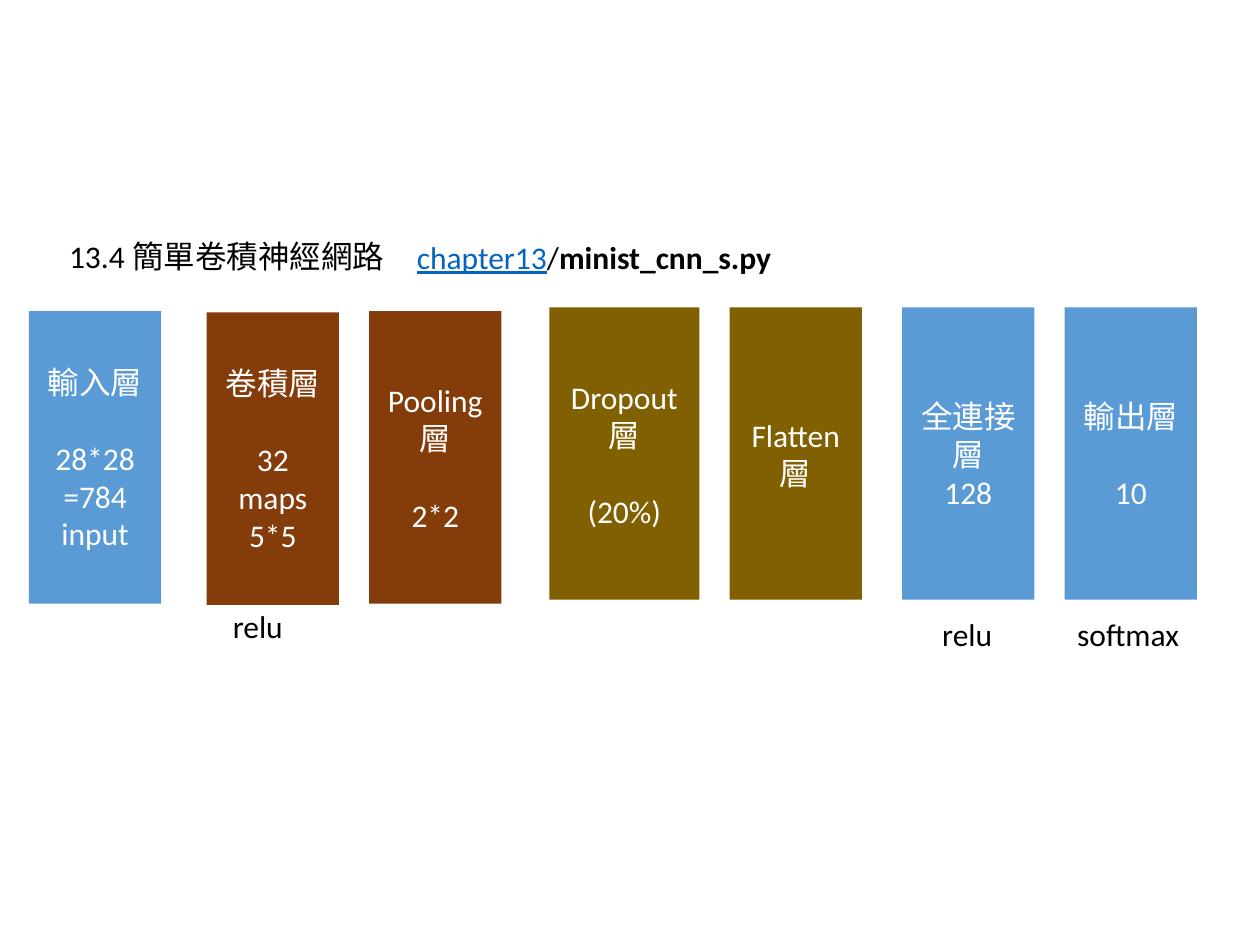
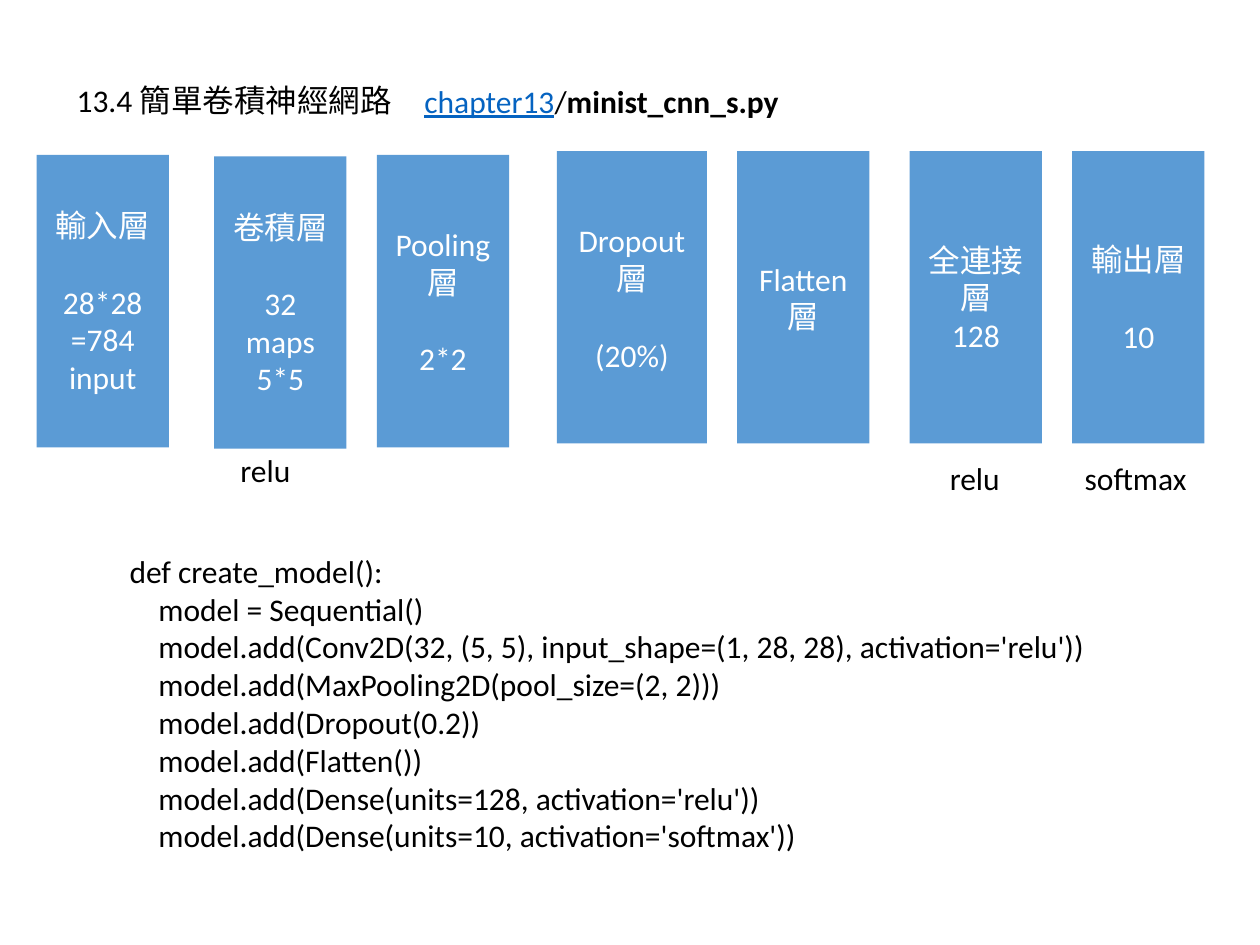
from dataclasses import dataclass

from pptx import Presentation
from pptx.dml.color import RGBColor
from pptx.enum.shapes import MSO_SHAPE
from pptx.enum.text import MSO_ANCHOR, PP_ALIGN
from pptx.util import Inches, Pt


@dataclass(frozen=True)
class Theme:
    font: str = "Calibri"
    size: int = 18
    line_height: int = 22
    text: str = "000000"
    on_fill: str = "FFFFFF"
    link: str = "0563C1"
    blue: str = "5B9BD5"
    brown: str = "843C0B"
    olive: str = "806000"


THEME = Theme()

# Content: text lines are strings; a span is (text, format)
TITLE = ["13.4 簡單卷積神經網路"]
SOURCE_FILE = [[("chapter13", {"color": THEME.link, "underline": True}),
                ("/", {}), ("minist_cnn_s.py", {"bold": True})]]

# Layers: heading lines, detail lines, gap between them, left, top, width, group colour
LAYERS = [
    (["輸入層"], ["28*28", "=784", "input"], True, 0.23, 2.47, 1.05, THEME.blue),
    (["卷積層"], ["32 maps", "5*5"], True, 1.64, 2.48, 1.05, THEME.brown),
    (["Pooling層"], ["2*2"], True, 2.93, 2.47, 1.05, THEME.brown),
    (["Dropout", "層"], ["(20%)"], True, 4.36, 2.44, 1.19, THEME.olive),
    (["Flatten層"], [], False, 5.79, 2.44, 1.05, THEME.olive),
    (["全連接層"], ["128"], False, 7.16, 2.44, 1.05, THEME.blue),
    (["輸出層"], ["10"], True, 8.45, 2.44, 1.05, THEME.blue),
]
LAYER_HEIGHT = 2.32

# Activations: name, left, top, width
ACTIVATIONS = [
    ("relu", 1.75, 4.77, 0.6),
    ("relu", 7.38, 4.83, 0.6),
    ("softmax", 8.45, 4.83, 1.02),
]

CODE_HEAD = "def create_model():"
CODE_BODY = [
    "model = Sequential()",
    "model.add(Conv2D(32, (5, 5), input_shape=(1, 28, 28), activation='relu'))",
    "model.add(MaxPooling2D(pool_size=(2, 2)))",
    "model.add(Dropout(0.2))",
    "model.add(Flatten())",
    "model.add(Dense(units=128, activation='relu'))",
    "model.add(Dense(units=10, activation='softmax'))",
]
CODE_INDENT = 0.23

# Diagram placement per page: shift right, shift down, coloured groups, code listing
PAGES = [
    (0, 0, True, False),
    (0.06, -1.24, False, True),
]


def write(box, lines, color=THEME.text, align=PP_ALIGN.LEFT, wrap=True,
          gap_before=None, indent_from=None):
    """Fill a box with lines, each a string or a list of formatted spans."""
    frame = box.text_frame
    frame.word_wrap = wrap
    for index, line in enumerate(lines):
        para = frame.paragraphs[0] if index == 0 else frame.add_paragraph()
        para.alignment = align
        if index == gap_before:
            para.space_before = Pt(THEME.line_height)
        if indent_from is not None and index >= indent_from:
            para._p.get_or_add_pPr().set("marL", str(Inches(CODE_INDENT)))
        for text, style in [(line, {})] if isinstance(line, str) else line:
            span = para.add_run()
            span.text = text
            span.font.name = THEME.font
            span.font.size = Pt(THEME.size)
            span.font.bold = style.get("bold", False)
            span.font.underline = style.get("underline", False)
            span.font.color.rgb = RGBColor.from_string(style.get("color", color))


def add_text(page, lines, left, top, width, height=0.4, **style):
    box = page.shapes.add_textbox(*map(Inches, (left, top, width, height)))
    write(box, lines, **style)


def add_layer(page, heading, details, gap, left, top, width, fill):
    box = page.shapes.add_shape(
        MSO_SHAPE.RECTANGLE, *map(Inches, (left, top, width, LAYER_HEIGHT)))
    box.shadow.inherit = False
    box.fill.solid()
    box.fill.fore_color.rgb = RGBColor.from_string(fill)
    box.line.fill.background()
    box.text_frame.vertical_anchor = MSO_ANCHOR.MIDDLE
    write(box, heading + details, color=THEME.on_fill, align=PP_ALIGN.CENTER,
          gap_before=len(heading) if gap else None)


def add_diagram(page, right, down, grouped):
    add_text(page, TITLE, 0.45 + right, 1.83 + down, 2.73, 0.71)
    add_text(page, SOURCE_FILE, 3.21 + right, 1.84 + down, 3.04, wrap=False)
    for heading, details, gap, left, top, width, color in LAYERS:
        add_layer(page, heading, details, gap, left + right, top + down, width,
                  color if grouped else THEME.blue)
    for name, left, top, width in ACTIVATIONS:
        add_text(page, [name], left + right, top + down, width, wrap=False)


def main():
    deck = Presentation()
    deck.slide_width, deck.slide_height = Inches(10), Inches(7.5)
    for right, down, grouped, with_code in PAGES:
        page = deck.slides.add_slide(deck.slide_layouts[6])
        add_diagram(page, right, down, grouped)
        if with_code:
            add_text(page, [CODE_HEAD] + CODE_BODY, 0.93, 4.33, 7.93, 2.52,
                     indent_from=1)
    deck.save("out.pptx")


if __name__ == "__main__":
    main()
